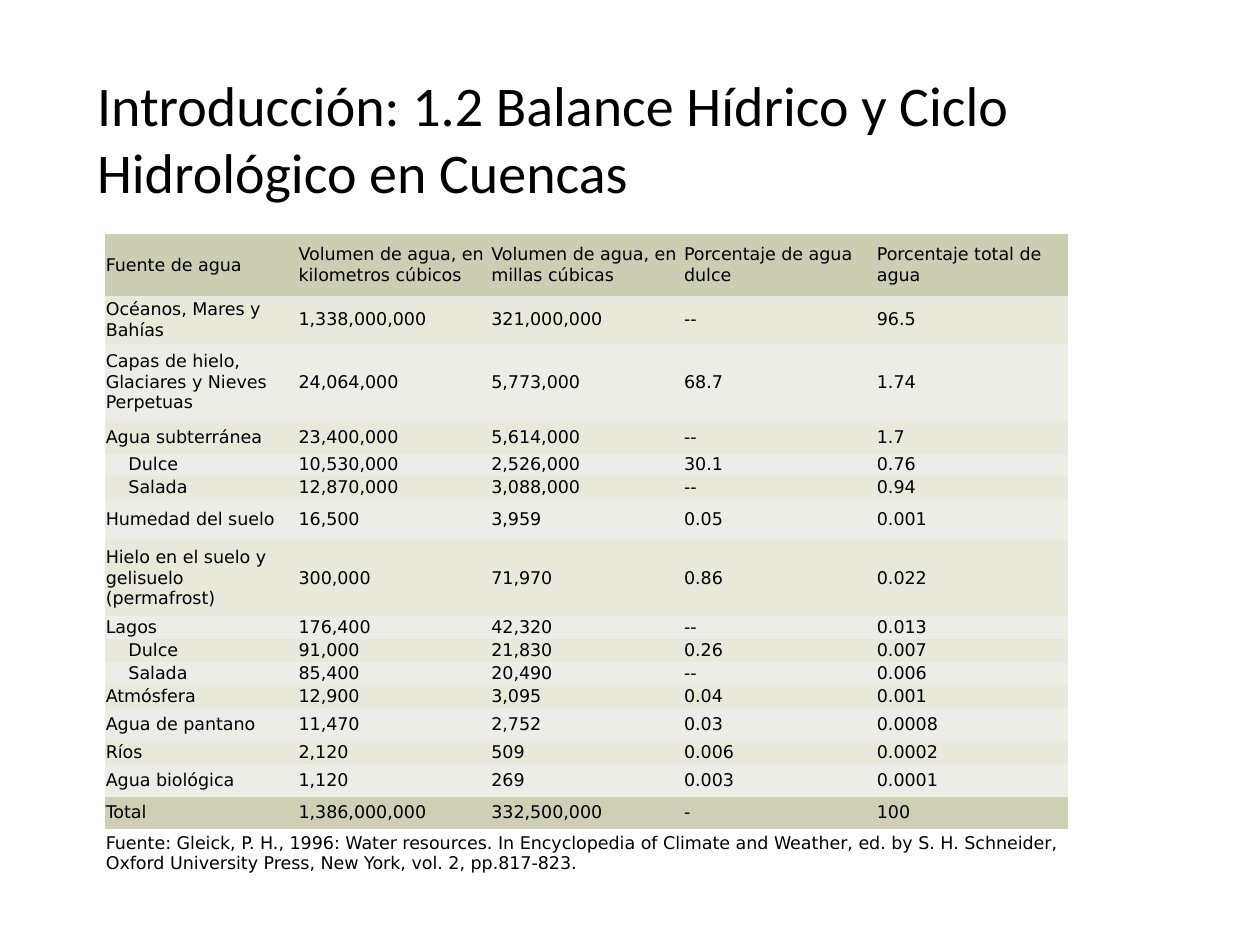
from dataclasses import dataclass

from pptx import Presentation
from pptx.dml.color import RGBColor
from pptx.enum.text import MSO_ANCHOR, MSO_AUTO_SIZE, PP_ALIGN
from pptx.util import Inches, Pt


@dataclass(frozen=True)
class Theme:
    ink: str = "000000"
    paper: str = "FFFFFF"
    head: str = "CDCDB4"
    bands: tuple = ("E8E8DB", "ECEDE6")
    total: str = "CFCFB6"
    title_font: str = "Calibri"
    table_font: str = "DejaVu Sans"
    title_size: int = 32
    table_size: int = 10


THEME = Theme()
PLAIN_STYLE = "{2D5ABB26-0587-4C30-8999-92F81FD0307C}"  # no fill, no grid
COL_WIDTH = 1.53
PAD = 0.01
INDENT = 0.18

TITLE = "Introducción: 1.2 Balance Hídrico y Ciclo Hidrológico en Cuencas"
HEAD = ("Fuente de agua", "Volumen de agua, en kilometros cúbicos",
        "Volumen de agua, en millas cúbicas", "Porcentaje de agua dulce",
        "Porcentaje total de agua")
# Row height, then the five cells
SOURCES = [
    (0.38, "Océanos, Mares y Bahías", "1,338,000,000", "321,000,000", "--", "96.5"),
    (0.61, "Capas de hielo, Glaciares y Nieves Perpetuas", "24,064,000",
     "5,773,000", "68.7", "1.74"),
    (0.26, "Agua subterránea", "23,400,000", "5,614,000", "--", "1.7"),
    (0.18, "Dulce", "10,530,000", "2,526,000", "30.1", "0.76"),
    (0.18, "Salada", "12,870,000", "3,088,000", "--", "0.94"),
    (0.32, "Humedad del suelo", "16,500", "3,959", "0.05", "0.001"),
    (0.61, "Hielo en el suelo y gelisuelo (permafrost)", "300,000", "71,970",
     "0.86", "0.022"),
    (0.18, "Lagos", "176,400", "42,320", "--", "0.013"),
    (0.18, "Dulce", "91,000", "21,830", "0.26", "0.007"),
    (0.18, "Salada", "85,400", "20,490", "--", "0.006"),
    (0.18, "Atmósfera", "12,900", "3,095", "0.04", "0.001"),
    (0.26, "Agua de pantano", "11,470", "2,752", "0.03", "0.0008"),
    (0.18, "Ríos", "2,120", "509", "0.006", "0.0002"),
    (0.26, "Agua biológica", "1,120", "269", "0.003", "0.0001"),
]
SUBTYPES = ("Dulce", "Salada")
TOTAL = ("Total", "1,386,000,000", "332,500,000", "-", "100")
CREDIT = ("Fuente: Gleick, P. H., 1996: Water resources. In Encyclopedia of "
          "Climate and Weather, ed. by S. H. Schneider, Oxford University "
          "Press, New York, vol. 2, pp.817-823.")


def style_text(frame, font, size):
    for para in frame.paragraphs:
        para.alignment = PP_ALIGN.LEFT
        for run in para.runs:
            run.font.name = font
            run.font.size = Pt(size)
            run.font.bold = False
            run.font.color.rgb = RGBColor.from_string(THEME.ink)


def set_title(slide):
    title = slide.shapes.title
    title.left, title.top = Inches(0.67), Inches(0.47)
    title.width, title.height = Inches(9), Inches(1.25)
    frame = title.text_frame
    frame.text = TITLE
    frame.word_wrap = True
    frame.auto_size = MSO_AUTO_SIZE.NONE
    frame.vertical_anchor = MSO_ANCHOR.MIDDLE
    style_text(frame, THEME.title_font, THEME.title_size)


def fill_cell(cell, text, color):
    cell.margin_left = cell.margin_right = Inches(PAD)
    cell.margin_top = cell.margin_bottom = Inches(PAD)
    cell.vertical_anchor = MSO_ANCHOR.MIDDLE
    cell.fill.solid()
    cell.fill.fore_color.rgb = RGBColor.from_string(color)
    cell.text_frame.text = text
    if text in SUBTYPES:
        props = cell.text_frame.paragraphs[0]._p.get_or_add_pPr()
        props.set("marL", str(Inches(INDENT)))
    style_text(cell.text_frame, THEME.table_font, THEME.table_size)


def list_rows():
    """Return the height, fill colour and texts of every table row."""
    rows = [(0.49, THEME.head, HEAD)]
    for i, (height, *texts) in enumerate(SOURCES):
        rows.append((height, THEME.bands[i % 2], texts))
    rows.append((0.26, THEME.total, TOTAL))
    rows.append((0.38, THEME.paper, (CREDIT, "", "", "", "")))
    return rows


def add_grid(slide):
    rows = list_rows()
    count = len(HEAD)
    frame = slide.shapes.add_table(
        len(rows), count, Inches(0.83), Inches(1.86),
        Inches(COL_WIDTH * count), Inches(sum(row[0] for row in rows)))
    table = frame.table
    table.first_row = table.horz_banding = False
    table._tbl.tblPr[0].text = PLAIN_STYLE
    for col in table.columns:
        col.width = Inches(COL_WIDTH)
    for r, (height, color, texts) in enumerate(rows):
        table.rows[r].height = Inches(height)
        for c, text in enumerate(texts):
            fill_cell(table.cell(r, c), text, color)
    last = len(rows) - 1
    table.cell(last, 0).merge(table.cell(last, count - 1))


def main():
    deck = Presentation()
    deck.slide_width, deck.slide_height = Inches(10), Inches(7.5)
    slide = deck.slides.add_slide(deck.slide_layouts[5])
    set_title(slide)
    add_grid(slide)
    deck.save("out.pptx")


if __name__ == "__main__":
    main()
